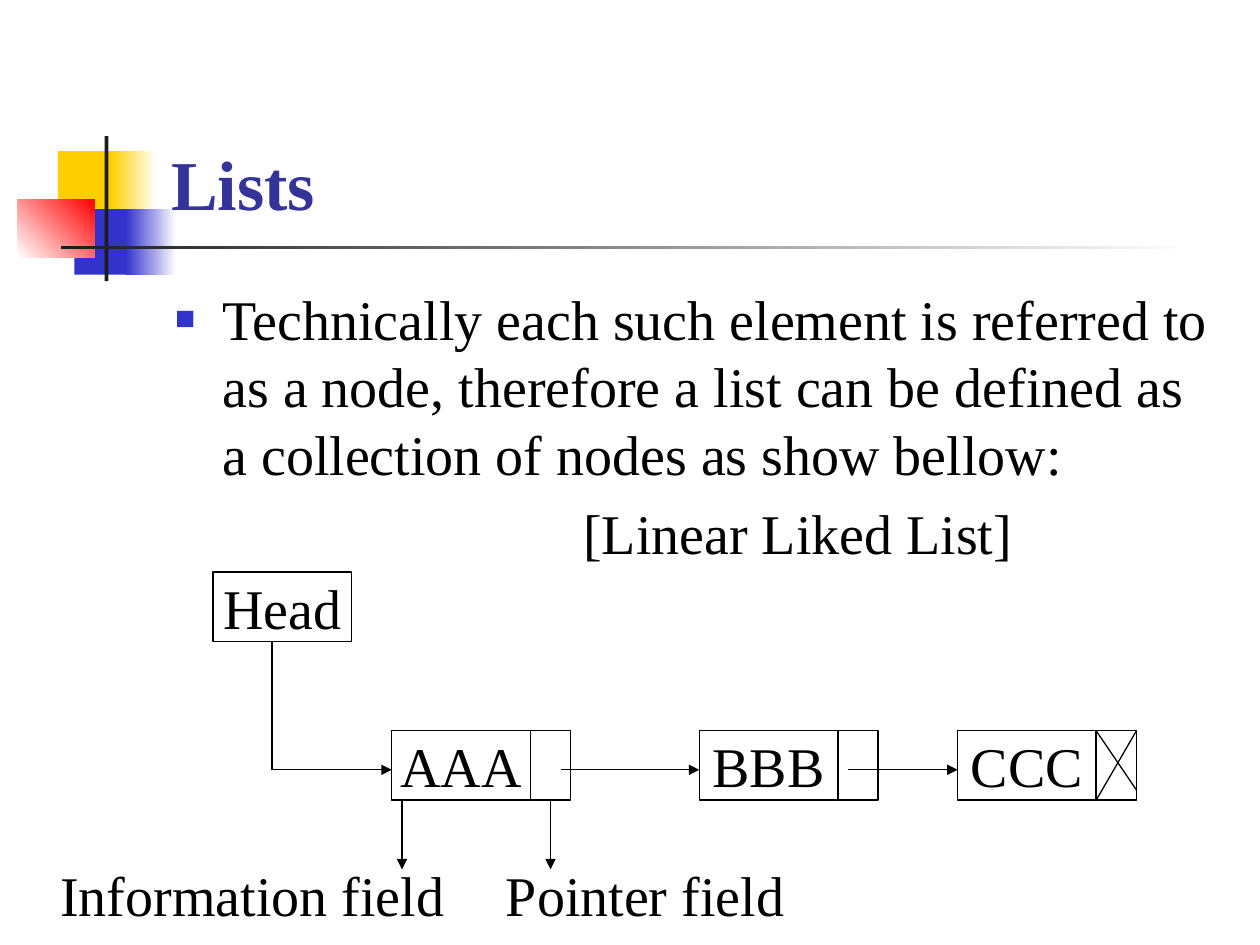
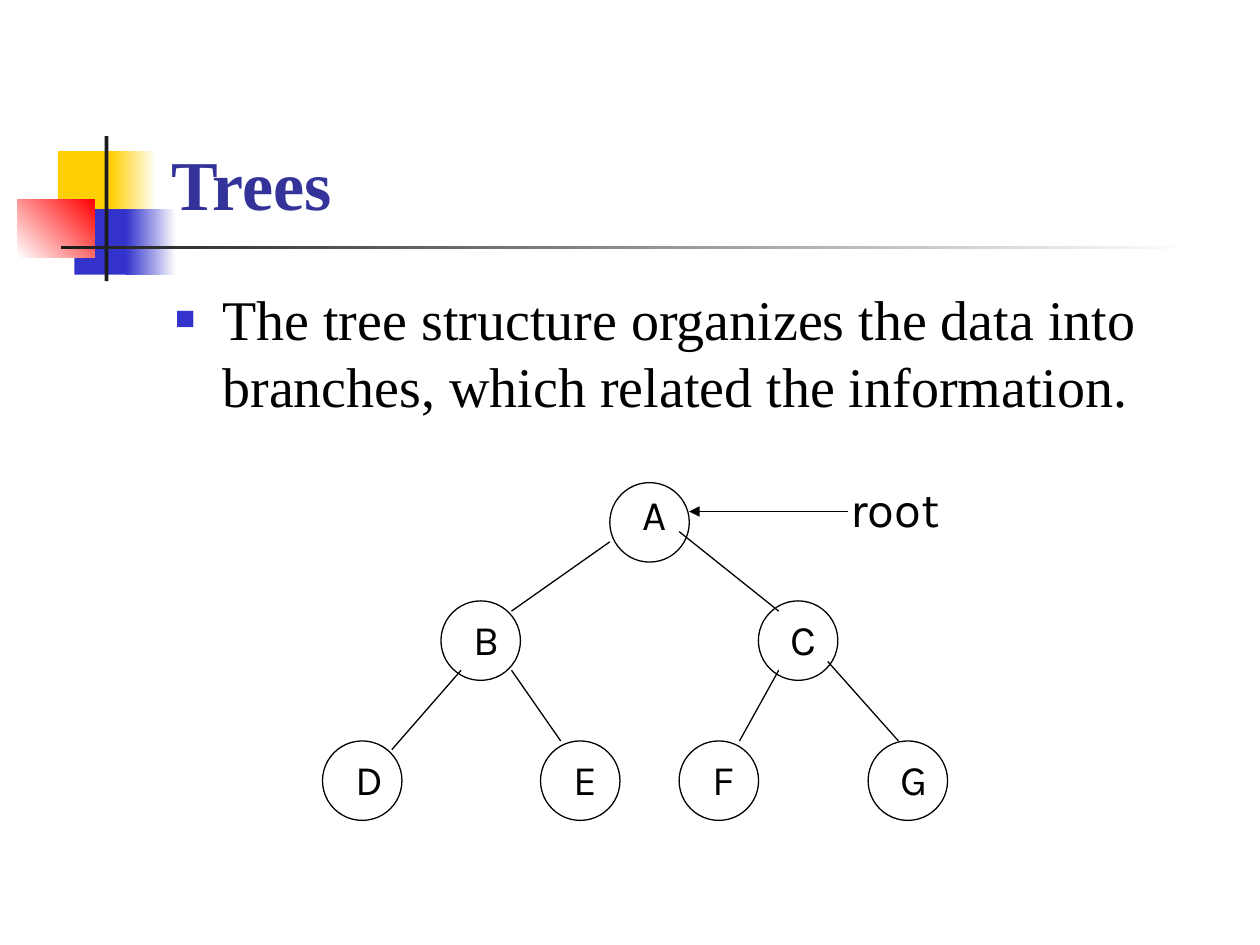
from typing import Any, NamedTuple

from lxml import etree
from pptx import Presentation
from pptx.dml.color import RGBColor
from pptx.enum import shapes as kinds, text as t
from pptx.oxml import ns
from pptx.util import Pt

COLORS = {
    "ink": "000000",
    "paper": "FFFFFF",
    "title": "333399",
    "yellow": "FFCF01",
    "blue": "3333CC",
    "red": "FF0000",
    "bar": "1C1C1C",
}
SERIF, SANS = "Times New Roman", "Karla"
RECTANGLE, OVAL = kinds.MSO_SHAPE.RECTANGLE, kinds.MSO_SHAPE.OVAL
LEFT, CENTER = t.PP_ALIGN.LEFT, t.PP_ALIGN.CENTER
LINE_WIDTH = 0.75

CELL_WIDTH, CELL_HEIGHT, POINTER_WIDTH = 79.2, 39.6, 23
NODE_TOP, ARROW_Y, FIELD_TOP = 417.6, 439.9, 496.8
CIRCLE = 45.4


class Area(NamedTuple):
    left: float
    top: float
    width: float
    height: float


class Band(NamedTuple):
    area: Area
    start: str
    end: str = ""
    angle: int = 0


class Link(NamedTuple):
    x1: float
    y1: float
    x2: float
    y2: float
    arrow: bool = False


class TreeNode(NamedTuple):
    name: str
    left: float
    top: float
    label_drop: float = 3.6


TITLE_AREA = Area(90.7, 16.6, 613.4, 115.2)
BODY_AREA = Area(92.9, 159.1, 612, 324)

BANDS = [
    Band(Area(33.1, 86.4, 34.6, 37.4), "yellow"),
    Band(Area(63.4, 86.4, 25.9, 37.4), "yellow", "paper"),
    Band(Area(42.5, 119.5, 33.1, 37.4), "blue"),
    Band(Area(72, 119.5, 28.8, 37.4), "blue", "paper"),
    Band(Area(10.1, 113.8, 43.9, 33.1), "paper", "red", 45),
    Band(Area(59.8, 77.8, 2.2, 82.8), "bar"),
    Band(Area(34.6, 140.4, 648, 2.2), "bar", "paper"),
]

LIST_NODES = {"AAA": 223.9, "BBB": 399.6, "CCC": 547.2}
LIST_FIELDS = {
    "Information field": Area(42.5, FIELD_TOP, 203.8, 28.1),
    "Pointer field": Area(286.6, FIELD_TOP, 164.2, 28.1),
}
LIST_LINKS = [
    Link(626.4, NODE_TOP, 649.4, 451.4),
    Link(649.4, NODE_TOP, 626.4, NODE_TOP + CELL_HEIGHT),
    Link(155.5, 366.5, 155.5, ARROW_Y),
    Link(155.5, ARROW_Y, LIST_NODES["AAA"], ARROW_Y, True),
    Link(320.4, ARROW_Y, LIST_NODES["BBB"], ARROW_Y, True),
    Link(484.6, ARROW_Y, LIST_NODES["CCC"], ARROW_Y, True),
    Link(229.7, NODE_TOP + CELL_HEIGHT, 229.7, FIELD_TOP, True),
    Link(314.6, NODE_TOP + CELL_HEIGHT, 314.6, FIELD_TOP, True),
]

TREE_NODES = [
    TreeNode("A", 348.5, 275.8, 0),
    TreeNode("B", 252, 343.4),
    TreeNode("C", 433.4, 343.4),
    TreeNode("D", 184.3, 423.4),
    TreeNode("E", 308.9, 423.4),
    TreeNode("F", 388.1, 423.4),
    TreeNode("G", 496.1, 423.4),
]
TREE_LINKS = [
    Link(348.5, 309.6, 292.3, 349.2),
    Link(388.1, 303.8, 445, 349.2),
    Link(263.5, 383, 223.9, 428.4),
    Link(292.3, 383, 320.4, 423.4),
    Link(445, 383, 422.6, 423.4),
    Link(473, 378, 513.4, 423.4),
    Link(484.6, 292.3, 393.8, 292.3, True),
]


def rgb(name: str) -> RGBColor:
    return RGBColor.from_string(COLORS[name])


def apply(target: Any, values: dict[str, Any]) -> None:
    for name, value in values.items():
        setattr(target, name, value)


def points(area: Area) -> list[Pt]:
    return [Pt(value) for value in area]


def write(box: Any, words: str, size: float, font: str = SERIF, color: str = "ink",
          align: Any = CENTER, bold: bool = False) -> Any:
    para = box.text_frame.paragraphs[0]
    apply(para, {"alignment": align, "space_before": Pt(0)})
    span = para.add_run()
    span.text = words
    apply(span.font, {"size": Pt(size), "name": font, "bold": bold})
    span.font.color.rgb = rgb(color)
    return para


def add_outlined(page: Any, kind: Any, area: Area, line: str = "ink") -> Any:
    box = page.shapes.add_shape(kind, *points(area))
    box.shadow.inherit = False
    box.fill.solid()
    box.fill.fore_color.rgb = rgb("paper")
    box.line.color.rgb = rgb(line)
    box.line.width = Pt(LINE_WIDTH)
    return box


def add_cell(page: Any, words: str, area: Area, line: str = "ink") -> None:
    box = add_outlined(page, RECTANGLE, area, line)
    apply(box.text_frame, {"word_wrap": False, "vertical_anchor": t.MSO_ANCHOR.MIDDLE})
    write(box, words, 32)


def add_label(page: Any, words: str, area: Area, size: float, font: str, align: Any) -> Any:
    box = page.shapes.add_textbox(*points(area))
    box.text_frame.word_wrap = True
    write(box, words, size, font, align=align)
    return box


def add_link(page: Any, link: Link) -> None:
    ends = [Pt(value) for value in link[:4]]
    line = page.shapes.add_connector(kinds.MSO_CONNECTOR.STRAIGHT, *ends)
    line.line.color.rgb = rgb("ink")
    line.line.width = Pt(LINE_WIDTH)
    properties = line.element.spPr
    if link.arrow:
        outline = properties.find(ns.qn("a:ln"))
        etree.SubElement(outline, ns.qn("a:tailEnd"), type="triangle")
    etree.SubElement(properties, ns.qn("a:effectLst"))


def add_band(page: Any, band: Band) -> Any:
    box = page.shapes.add_shape(RECTANGLE, *points(band.area))
    box.shadow.inherit = False
    box.line.fill.background()
    if band.end:
        box.fill.gradient()
        box.fill.gradient_angle = band.angle
        for stop, color, position in zip(box.fill.gradient_stops, (band.start, band.end), (0, 1)):
            stop.color.rgb = rgb(color)
            stop.position = position
    else:
        box.fill.solid()
        box.fill.fore_color.rgb = rgb(band.start)
    return box


def decorate_layout(layout: Any, page: Any) -> None:
    for position, band in enumerate(BANDS, start=2):
        layout.shapes.element.insert(position, add_band(page, band).element)


def place(box: Any, area: Area) -> None:
    apply(box, dict(zip(area._fields, points(area))))


def add_bullet(para: Any) -> None:
    properties = para._p.get_or_add_pPr()
    apply_indent = {"marL": str(Pt(27)), "indent": str(-Pt(27))}
    for name, value in apply_indent.items():
        properties.set(name, value)
    color = etree.SubElement(properties, ns.qn("a:buClr"))
    etree.SubElement(color, ns.qn("a:srgbClr"), val=COLORS["blue"])
    etree.SubElement(properties, ns.qn("a:buSzPct"), val="60000")
    etree.SubElement(properties, ns.qn("a:buChar"), char="■")


def fill_page(page: Any, title: str, sentence: str) -> None:
    heading, body = page.shapes.title, page.placeholders[1]
    place(heading, TITLE_AREA)
    heading.text_frame.vertical_anchor = t.MSO_ANCHOR.BOTTOM
    write(heading, title, 40, color="title", align=LEFT, bold=True)
    place(body, BODY_AREA)
    add_bullet(body.text_frame.paragraphs[0])
    write(body, sentence, 32, align=LEFT)


def draw_lists(page: Any) -> None:
    fill_page(page, "Lists", "Technically each such element is referred to as a node, "
              "therefore a list can be defined as a collection of nodes as show bellow:")
    add_cell(page, "Head", Area(121.7, 326.9, CELL_WIDTH, CELL_HEIGHT))
    for name, left in LIST_NODES.items():
        add_cell(page, name, Area(left, NODE_TOP, CELL_WIDTH, CELL_HEIGHT))
        pointer = Area(left + CELL_WIDTH, NODE_TOP, POINTER_WIDTH, CELL_HEIGHT)
        add_outlined(page, RECTANGLE, pointer)
    for words, area in LIST_FIELDS.items():
        add_cell(page, words, area, "paper")
    for link in LIST_LINKS:
        add_link(page, link)
    add_label(page, "[Linear Liked List]", Area(326.2, 281.5, 283.7, 45.4), 32, SERIF, LEFT)


def draw_trees(page: Any) -> None:
    fill_page(page, "Trees", "The tree structure organizes the data into branches, "
              "which related the information.")
    for node in TREE_NODES:
        circle = add_outlined(page, OVAL, Area(node.left, node.top, CIRCLE, CIRCLE))
        area = Area(node.left + 11.5, node.top + node.label_drop, 28.1, 36)
        label = add_label(page, node.name, area, 24, SANS, CENTER)
        page.shapes.add_group_shape([circle, label])
    for link in TREE_LINKS:
        add_link(page, link)
    add_label(page, "root", Area(478.8, 270, 79.2, 41), 28, SANS, LEFT)


def main() -> None:
    deck = Presentation()
    apply(deck, {"slide_width": Pt(720), "slide_height": Pt(540)})
    layout = deck.slide_layouts[1]
    pages = [deck.slides.add_slide(layout) for _ in range(2)]
    decorate_layout(layout, pages[0])
    draw_lists(pages[0])
    draw_trees(pages[1])
    deck.save("out.pptx")


if __name__ == "__main__":
    main()
